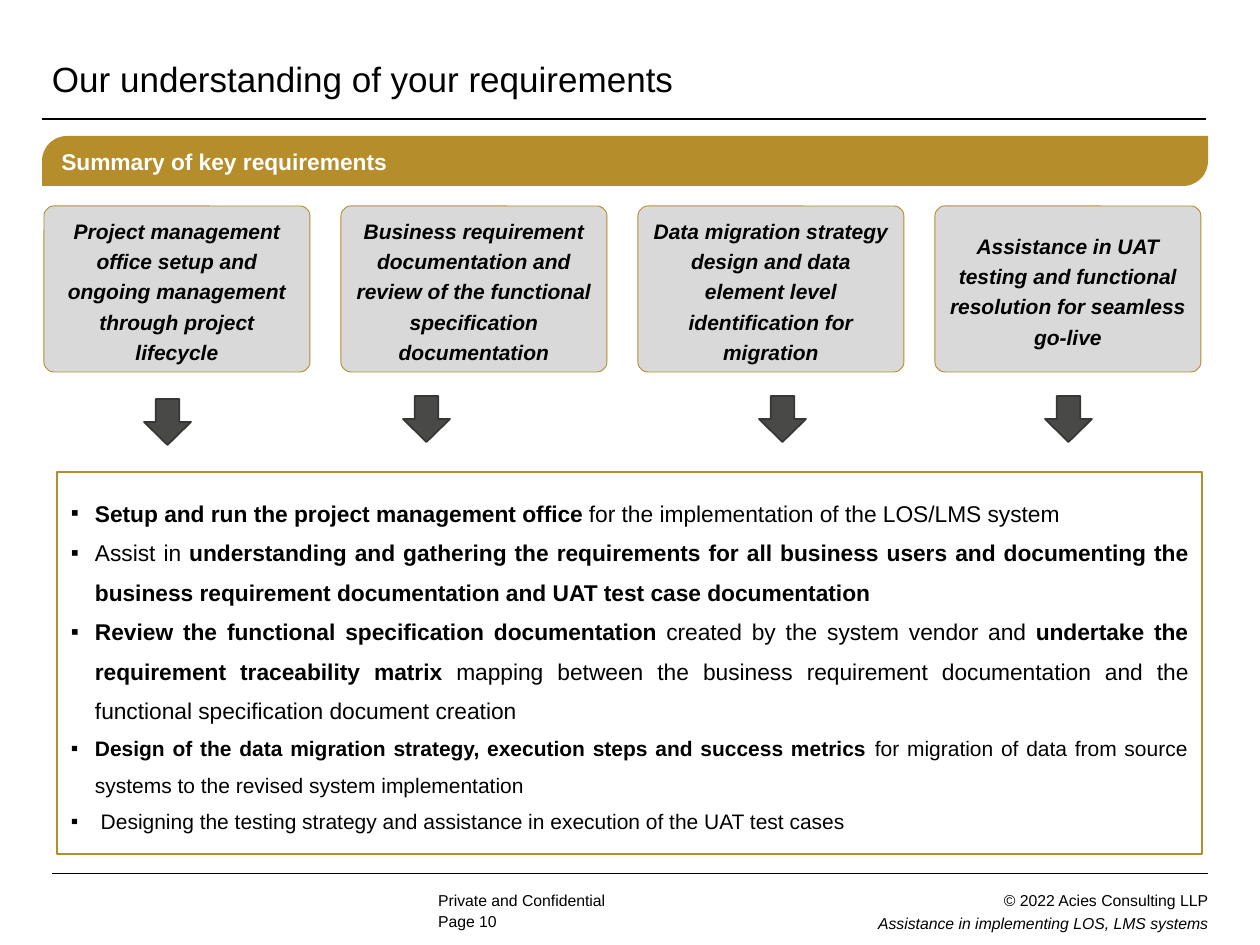
from dataclasses import dataclass

from lxml import etree
from pptx import Presentation
from pptx import util as u
from pptx.dml.color import RGBColor
from pptx.enum import shapes, text
from pptx.oxml import ns

SCALE = 914400 / 126
KIND = shapes.MSO_SHAPE
SIDE = text.PP_ALIGN
MID = text.MSO_ANCHOR.MIDDLE


def px(n):
    return u.Emu(round(n * SCALE))


@dataclass
class Theme:
    font: str = "Arial"
    ink: str = "000000"
    white: str = "FFFFFF"
    gold: str = "B58D2B"
    card: str = "D9D9D9"
    arrow: str = "494947"
    edge: str = "363635"
    title: int = 20
    head: int = 13
    body: int = 12
    foot: int = 9


class Deck:
    def __init__(self, theme):
        self.theme = theme
        self.show = Presentation()
        self.show.slide_width, self.show.slide_height = px(1260), px(945)
        self.slide = self.show.slides.add_slide(self.show.slide_layouts[6])

    def frame(self, frame, pad, anchor=text.MSO_ANCHOR.TOP):
        frame.word_wrap = True
        frame.vertical_anchor = anchor
        (frame.margin_left, frame.margin_top,
         frame.margin_right, frame.margin_bottom) = map(px, pad)

    def para(self, frame, words, size, color=None, side=SIDE.LEFT, space=None,
             bold=False, italic=False, bullet=False):
        """Add a paragraph; words between asterisks turn bold."""
        first = frame.paragraphs[0]
        para = frame.add_paragraph() if first.runs else first
        if bullet:
            props = para._p.get_or_add_pPr()
            props.set("marL", str(px(24)))
            props.set("indent", str(-px(24)))
            etree.SubElement(props, ns.qn("a:buFont"), typeface=self.theme.font)
            etree.SubElement(props, ns.qn("a:buChar"), char="▪")
        para.alignment = side
        para.line_spacing = space
        font = para.font
        font.name, font.size = self.theme.font, u.Pt(size)
        font.bold, font.italic = bold, italic
        font.color.rgb = RGBColor.from_string(color or self.theme.ink)
        for i, part in enumerate(words.split("*")):
            if part:
                run = para.add_run()
                run.text = part
                if i % 2:
                    run.font.bold = True
        return para

    def label(self, box):
        frame = self.slide.shapes.add_textbox(*map(px, box)).text_frame
        self.frame(frame, (0, 0, 0, 0))
        return frame

    def shape(self, kind, box, fill=None, line=None, width=1, adjust=()):
        item = self.slide.shapes.add_shape(kind, *map(px, box))
        item.shadow.inherit = False
        for i, value in enumerate(adjust):
            item.adjustments[i] = value
        if fill:
            item.fill.solid()
            item.fill.fore_color.rgb = RGBColor.from_string(fill)
        else:
            item.fill.background()
        if line:
            item.line.color.rgb = RGBColor.from_string(line)
            item.line.width = u.Pt(width)
        else:
            item.line.fill.background()
        return item

    def rule(self, left, right, y):
        line = self.slide.shapes.add_connector(
            shapes.MSO_CONNECTOR.STRAIGHT, px(left), px(y), px(right), px(y))
        line.line.color.rgb = RGBColor.from_string(self.theme.ink)
        line.line.width = u.Pt(0.5)
        etree.SubElement(line._element.spPr, ns.qn("a:effectLst"))

    def title(self, words, box):
        table = self.slide.shapes.add_table(1, 1, *map(px, box)).table
        table.first_row = table.horz_banding = False
        cell = table.cell(0, 0)
        cell.vertical_anchor = MID
        cell.margin_left = cell.margin_right = px(11)
        cell.margin_top = cell.margin_bottom = px(5)
        self.para(cell.text_frame, words, self.theme.title)
        cell.fill.background()
        # Bottom border, which must stand before the fill
        edge = etree.Element(ns.qn("a:lnB"), w=str(u.Pt(1)))
        fill = etree.SubElement(edge, ns.qn("a:solidFill"))
        etree.SubElement(fill, ns.qn("a:srgbClr"), val=self.theme.ink)
        cell._tc.get_or_add_tcPr().insert(0, edge)


CARDS = [
    "Project management office setup and ongoing management through project lifecycle",
    "Business requirement documentation and review of the functional specification documentation",
    "Data migration strategy design and data element level identification for migration",
    "Assistance in UAT testing and functional resolution for seamless go-live",
]
ARROWS = [(144, 399), (403, 396), (759, 396), (1045, 396)]
TASKS = [
    "*Setup and run the project management office *for the implementation of the LOS/LMS system",
    "Assist in *understanding and gathering the requirements for all business users and "
    "documenting the business requirement documentation and UAT test case documentation*",
    "*Review the functional specification documentation *created by the system vendor and "
    "*undertake the requirement traceability matrix* mapping between the business requirement "
    "documentation and the functional specification document creation",
    "*Design of the data migration strategy, execution steps and success metrics *for "
    "migration of data from source systems to the revised system implementation",
    " Designing the testing strategy and assistance in execution of the UAT test cases",
]


def main():
    theme = Theme()
    deck = Deck(theme)

    # Footer
    deck.para(deck.label((438, 912, 69, 14)), "Page 10", theme.foot)
    deck.para(deck.label((438, 891, 223, 19)), "Private and Confidential", theme.foot)
    right = deck.label((624, 888, 584, 43))
    deck.para(right, "© 2022 Acies Consulting LLP", theme.foot, side=SIDE.RIGHT, space=1.14)
    deck.para(right, "Assistance in implementing LOS, LMS systems", theme.foot,
              side=SIDE.RIGHT, space=1.2, italic=True)
    deck.rule(52, 1208, 873)

    # Title and band
    deck.title("Our understanding of your requirements", (41, 42, 1166, 77))
    band = deck.shape(KIND.ROUND_2_DIAG_RECTANGLE, (42, 136, 1166, 50), theme.gold,
                      adjust=(0.5, 0))
    deck.frame(band.text_frame, (12, 13, 12, 13), MID)
    deck.para(band.text_frame, "Summary of key requirements", theme.head, theme.white,
              SIDE.JUSTIFY, 1.06, bold=True)

    # Requirement cards, with side padding that keeps each text to five lines
    for i, words in enumerate(CARDS):
        card = deck.shape(KIND.ROUNDED_RECTANGLE, (44 + 297 * i, 206, 266, 166),
                          theme.card, theme.gold, 0.5, (0.06,))
        deck.frame(card.text_frame, (10, 13, 10, 13), MID)
        para = deck.para(card.text_frame, words, theme.body, side=SIDE.CENTER,
                         space=1.2, bold=True, italic=True)
        para.space_after = u.Pt(4)

    # Arrows
    for x, y in ARROWS:
        deck.shape(KIND.DOWN_ARROW, (x, y, 47, 46), theme.arrow, theme.edge)

    # Task list
    box = deck.shape(KIND.RECTANGLE, (57, 472, 1145, 382), line=theme.gold, width=0.75)
    deck.frame(box.text_frame, (14, 15, 14, 5))
    for i, words in enumerate(TASKS):
        deck.para(box.text_frame, words, theme.head if i < 3 else theme.body,
                  side=SIDE.JUSTIFY, space=1.45, bullet=True)

    deck.show.save("out.pptx")


if __name__ == "__main__":
    main()
